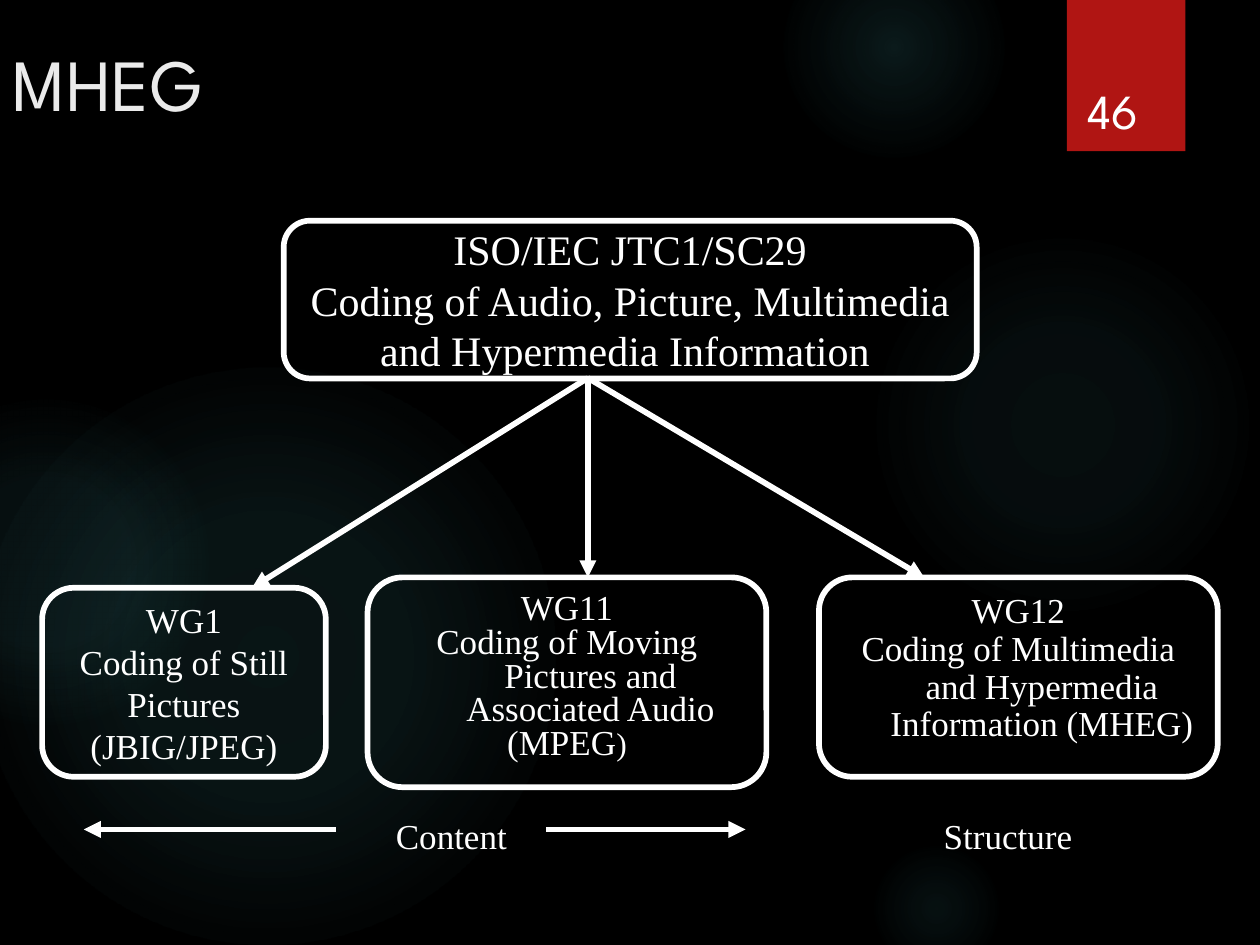
from dataclasses import dataclass
from typing import Optional

from lxml import etree
from pptx import Presentation
from pptx.dml.color import RGBColor
from pptx.enum.shapes import MSO_CONNECTOR, MSO_SHAPE
from pptx.enum.text import MSO_ANCHOR as Anchor, MSO_AUTO_SIZE as AutoSize, PP_ALIGN as Align
from pptx.oxml import parse_xml
from pptx.oxml.ns import nsdecls, qn
from pptx.util import Cm, Pt

SERIF, SANS = "Times New Roman", "League Spartan"
WHITE, GLOW, RED, PALE = "FFFFFF", "50B9C1", "B01513", "EBEBEB"
LINE_WIDTH = Pt(3.25)


@dataclass
class Glow:
    left: float
    top: float
    size: float
    stops: tuple  # (position %, opacity %)


@dataclass
class Group:
    box: tuple  # left, top, width, height in cm
    lines: tuple
    size: int = 20
    spacing: Optional[float] = None  # set for hanging text at the top
    body: bool = False


@dataclass
class Arrow:
    start: tuple
    end: tuple


GLOWS = (
    Glow(17.5, 4.65, 7.82, ((0, 7), (36, 6), (69, 0))),
    Glow(15.8, -1.27, 4.45, ((0, 14), (36, 7), (73, 0))),
    Glow(17.5, 16.94, 2.74, ((0, 9), (36, 5), (66, 0))),
    Glow(-0.43, 7.42, 11.63, ((0, 11), (36, 10), (75, 0))),
    Glow(-2.34, 8.05, 6.55, ((0, 8), (36, 8), (72, 0))),
)
GROUPS = (
    Group((7.41, 11.64, 8.04, 4.23),
          ("WG11", "Coding of Moving Pictures and Associated Audio", "(MPEG"),
          spacing=0.8, body=True),
    Group((5.72, 4.45, 13.97, 3.18),
          ("ISO/IEC JTC1/SC29",
           "Coding of Audio, Picture, Multimedia and Hypermedia Information "), size=24),
    Group((0.85, 11.85, 5.72, 3.81), ("WG1", "Coding of Still Pictures", "(JBIG/JPEG)")),
    Group((16.51, 11.64, 8.04, 4.02),
          ("WG12", "Coding of Multimedia and Hypermedia Information (MHEG)"), spacing=0.9),
)
HUB = (11.85, 7.62)
ARROWS = (
    Arrow(HUB, (11.85, 11.64)),
    Arrow(HUB, (18.63, 11.64)),
    Arrow(HUB, (5.08, 11.85)),
    Arrow((6.77, 16.72), (1.69, 16.72)),
    Arrow((11.01, 16.72), (15.03, 16.72)),
)


def rgb(color: str) -> RGBColor:
    return RGBColor.from_string(color)


def place(sp, box: tuple) -> None:
    sp.left, sp.top, sp.width, sp.height = (Cm(v) for v in box)


def format_text(tf, font: str, size: int, color: str = WHITE,
                align=Align.CENTER, anchor=Anchor.TOP) -> None:
    tf.word_wrap, tf.auto_size, tf.vertical_anchor = True, AutoSize.NONE, anchor
    for p in tf.paragraphs:
        p.alignment = align
        for r in p.runs:
            r.font.name, r.font.size = font, Pt(size)
            r.font.color.rgb = rgb(color)


def add_shape(slide, kind, box: tuple):
    sp = slide.shapes.add_shape(kind, *(Cm(v) for v in box))
    sp.shadow.inherit = False
    sp.line.fill.background()
    return sp


def add_glow(slide, glow: Glow) -> None:
    sp = add_shape(slide, MSO_SHAPE.OVAL, (glow.left, glow.top, glow.size, glow.size))
    stops = "".join(
        f'<a:gs pos="{pos * 1000}"><a:srgbClr val="{GLOW}">'
        f'<a:alpha val="{alpha * 1000}"/></a:srgbClr></a:gs>' for pos, alpha in glow.stops)
    geom = sp._element.spPr.find(qn("a:prstGeom"))
    geom.addnext(parse_xml(
        f'<a:gradFill {nsdecls("a")} rotWithShape="1"><a:gsLst>{stops}</a:gsLst>'
        '<a:path path="circle"><a:fillToRect l="50000" t="50000" r="50000" b="50000"/>'
        '</a:path></a:gradFill>'))


def add_label(slide, text: str, box: tuple, font: str = SERIF, size: int = 20,
              anchor=Anchor.TOP) -> None:
    sp = slide.shapes.add_textbox(*(Cm(v) for v in box))
    sp.text_frame.text = text
    format_text(sp.text_frame, font, size, anchor=anchor)


def round_body(slide, box: tuple):
    """Bring the body placeholder forward as a rounded box."""
    sp = slide.placeholders[1]
    place(sp, box)
    sp._element.spPr.find(qn("a:xfrm")).addnext(parse_xml(
        f'<a:prstGeom {nsdecls("a")} prst="roundRect"><a:avLst/></a:prstGeom>'))
    slide.shapes._spTree.append(sp._element)
    return sp


def add_group(slide, group: Group) -> None:
    sp = (round_body(slide, group.box) if group.body
          else add_shape(slide, MSO_SHAPE.ROUNDED_RECTANGLE, group.box))
    sp.fill.background()
    sp.line.color.rgb, sp.line.width = rgb(WHITE), LINE_WIDTH
    tf = sp.text_frame
    tf.text = "\n".join(group.lines)
    if group.body:
        tf.paragraphs[-1].add_run().text = ")"
    format_text(tf, SERIF, group.size,
                anchor=Anchor.TOP if group.spacing else Anchor.MIDDLE)
    if group.body:
        tf.paragraphs[-1].runs[-1].font.size = Pt(18)
    for p in tf.paragraphs:
        p.space_before = Pt(0)
        if group.spacing:
            p.line_spacing = group.spacing
            pPr = p._p.get_or_add_pPr()
            pPr.set("marL", str(Cm(0.95)))
            pPr.set("indent", str(-Cm(0.95)))
            etree.SubElement(pPr, qn("a:buNone"))


def add_arrow(slide, arrow: Arrow) -> None:
    line = slide.shapes.add_connector(
        MSO_CONNECTOR.STRAIGHT, *(Cm(v) for v in arrow.start + arrow.end))
    line.line.color.rgb, line.line.width = rgb(WHITE), LINE_WIDTH
    etree.SubElement(line.line._get_or_add_ln(), qn("a:tailEnd"), type="triangle")
    etree.SubElement(line._element.spPr, qn("a:effectLst"))


prs = Presentation()
prs.slide_width, prs.slide_height = Cm(25.4), Cm(19.05)
slide = prs.slides.add_slide(prs.slide_layouts[1])

# Background and ribbon
slide.background.fill.solid()
slide.background.fill.fore_color.rgb = rgb("000000")
for glow in GLOWS:
    add_glow(slide, glow)
ribbon = add_shape(slide, MSO_SHAPE.RECTANGLE, (21.51, 0, 2.39, 3.05))
ribbon.fill.solid()
ribbon.fill.fore_color.rgb = rgb(RED)

# Title and slide number
title = slide.shapes.title
place(title, (0, 0.64, 25.4, 3.18))
title.text_frame.text = "MHEG"
format_text(title.text_frame, SANS, 42, PALE, Align.LEFT)
slide.shapes._spTree.append(title._element)
add_label(slide, "46", (21.56, 0.81, 1.75, 2.13), SANS, 28, Anchor.BOTTOM)

# Committee tree
for group in GROUPS:
    add_group(slide, group)
for arrow in ARROWS:
    add_arrow(slide, arrow)

# Captions
for text, left in (("Content", 6.77), ("Structure", 17.99)):
    add_label(slide, text, (left, 16.3, 4.66, 1.09))

prs.save("out.pptx")
